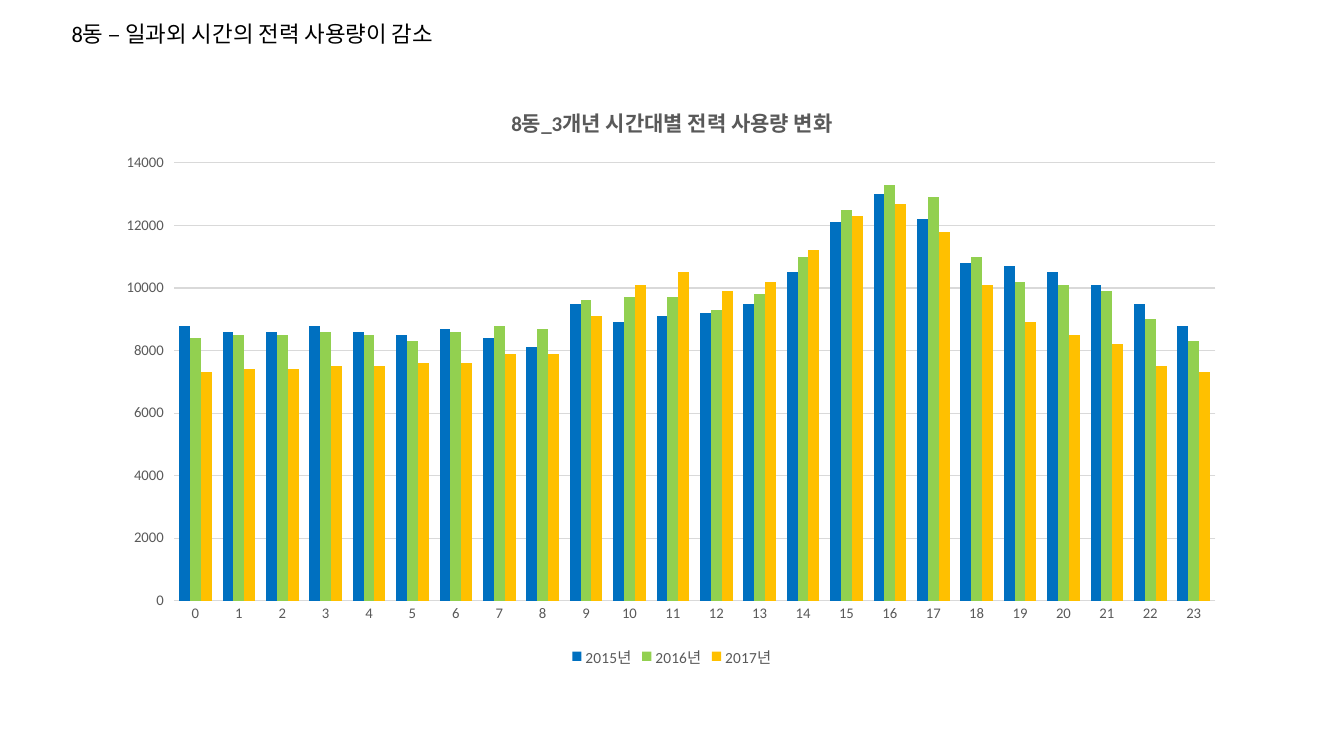
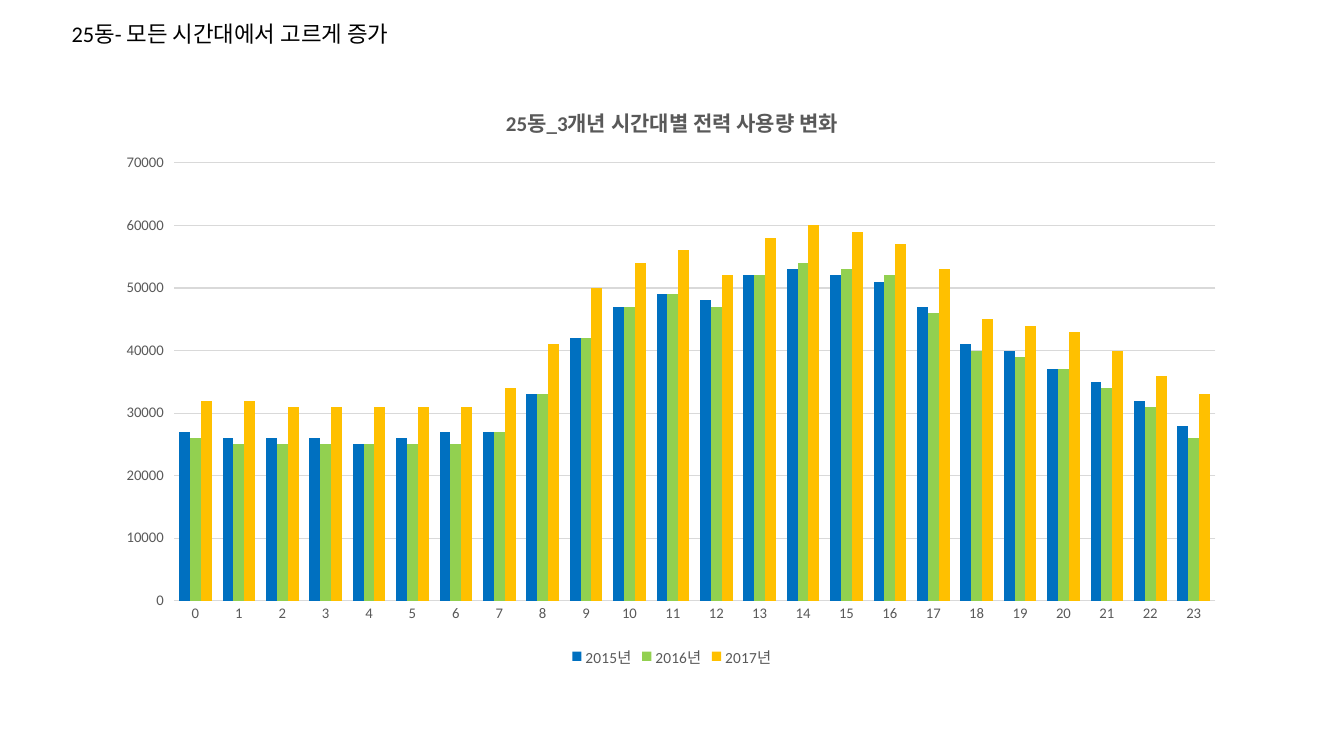
from lxml.etree import SubElement
from pptx import Presentation
from pptx.chart.data import CategoryChartData
from pptx.dml.color import RGBColor
from pptx.enum.chart import XL_CHART_TYPE, XL_LEGEND_POSITION, XL_TICK_MARK
from pptx.enum.text import MSO_ANCHOR, MSO_AUTO_SIZE, PP_ALIGN
from pptx.oxml.ns import qn
from pptx.util import Inches, Pt

FONT = "Calibri"
COLORS = {
    "title": "000000",
    "label": "595959",
    "grid": "D9D9D9",
    "2015년": "0070C0",
    "2016년": "92D050",
    "2017년": "FFC000",
}
HOURS = [str(hour) for hour in range(24)]
PLOT_LAYOUT = {"x": 0.06, "y": 0.135, "w": 0.92, "h": 0.745}

BUILDINGS = [
    {
        "title": "8동 – 일과외 시간의 전력 사용량이 감소",
        "title_width": 4.1,
        "chart_title": "8동_3개년 시간대별 전력 사용량 변화",
        "maximum": 14000,
        "unit": 2000,
        "scale": 100,
        "usage": {
            "2015년": [88, 86, 86, 88, 86, 85, 87, 84, 81, 95, 89, 91,
                      92, 95, 105, 121, 130, 122, 108, 107, 105, 101, 95, 88],
            "2016년": [84, 85, 85, 86, 85, 83, 86, 88, 87, 96, 97, 97,
                      93, 98, 110, 125, 133, 129, 110, 102, 101, 99, 90, 83],
            "2017년": [73, 74, 74, 75, 75, 76, 76, 79, 79, 91, 101, 105,
                      99, 102, 112, 123, 127, 118, 101, 89, 85, 82, 75, 73],
        },
    },
    {
        "title": "25동- 모든 시간대에서 고르게 증가",
        "title_width": 3.62,
        "chart_title": "25동_3개년 시간대별 전력 사용량 변화",
        "maximum": 70000,
        "unit": 10000,
        "scale": 1000,
        "usage": {
            "2015년": [27, 26, 26, 26, 25, 26, 27, 27, 33, 42, 47, 49,
                      48, 52, 53, 52, 51, 47, 41, 40, 37, 35, 32, 28],
            "2016년": [26, 25, 25, 25, 25, 25, 25, 27, 33, 42, 47, 49,
                      47, 52, 54, 53, 52, 46, 40, 39, 37, 34, 31, 26],
            "2017년": [32, 32, 31, 31, 31, 31, 31, 34, 41, 50, 54, 56,
                      52, 58, 60, 59, 57, 53, 45, 44, 43, 40, 36, 33],
        },
    },
]


def color(name):
    return RGBColor.from_string(COLORS[name])


def style_font(font, size, color_name, bold=False):
    font.name = FONT
    font.size = Pt(size)
    font.bold = bold
    font.color.rgb = color(color_name)


def style_line(line):
    line.color.rgb = color("grid")
    line.width = Pt(0.75)


def fill_title(shape, text, width):
    shape.left, shape.top = Inches(0.61), Inches(0.15)
    shape.width, shape.height = Inches(width), Inches(0.37)
    frame = shape.text_frame
    frame.word_wrap = False
    frame.auto_size = MSO_AUTO_SIZE.SHAPE_TO_FIT_TEXT
    frame.vertical_anchor = MSO_ANCHOR.TOP
    paragraph = frame.paragraphs[0]
    paragraph.alignment = PP_ALIGN.LEFT
    run = paragraph.add_run()
    run.text = text
    style_font(run.font, 16, "title")


def place_plot(chart):
    plot_area = chart._chartSpace.find(".//" + qn("c:plotArea"))
    for old_layout in plot_area.findall(qn("c:layout")):
        plot_area.remove(old_layout)
    layout = plot_area.makeelement(qn("c:layout"))
    plot_area.insert(0, layout)
    manual = SubElement(layout, qn("c:manualLayout"))
    settings = {"layoutTarget": "inner", "xMode": "edge", "yMode": "edge", **PLOT_LAYOUT}
    for tag, value in settings.items():
        SubElement(manual, qn(f"c:{tag}")).set("val", str(value))


def add_usage_chart(slide, building):
    data = CategoryChartData(number_format="General")
    data.categories = HOURS
    for year, values in building["usage"].items():
        data.add_series(year, [value * building["scale"] for value in values])
    chart = slide.shapes.add_chart(
        XL_CHART_TYPE.COLUMN_CLUSTERED,
        Inches(1.05), Inches(0.83), Inches(11.23), Inches(5.83), data,
    ).chart
    style_font(chart.font, 10, "title")
    place_plot(chart)

    chart.has_title = True
    run = chart.chart_title.text_frame.paragraphs[0].add_run()
    run.text = building["chart_title"]
    style_font(run.font, 15, "label", bold=True)
    chart.chart_title.include_in_layout = False

    plot = chart.plots[0]
    plot.gap_width = 100
    plot.overlap = 0
    plot.vary_by_categories = False
    for series in plot.series:
        series.format.fill.solid()
        series.format.fill.fore_color.rgb = color(series.name)

    for axis in (chart.category_axis, chart.value_axis):
        style_font(axis.tick_labels.font, 10.5, "label")
    hours = chart.category_axis
    hours.major_tick_mark = XL_TICK_MARK.NONE
    style_line(hours.format.line)
    amounts = chart.value_axis
    amounts.minimum_scale = 0
    amounts.maximum_scale = building["maximum"]
    amounts.major_unit = building["unit"]
    amounts.format.line.fill.background()
    amounts.has_major_gridlines = True
    style_line(amounts.major_gridlines.format.line)

    chart.has_legend = True
    chart.legend.position = XL_LEGEND_POSITION.BOTTOM
    chart.legend.include_in_layout = False
    style_font(chart.legend.font, 11, "label")


def main():
    presentation = Presentation()
    presentation.slide_width = Inches(13.33)
    presentation.slide_height = Inches(7.5)
    title_only = presentation.slide_layouts[5]
    for building in BUILDINGS:
        slide = presentation.slides.add_slide(title_only)
        add_usage_chart(slide, building)
        fill_title(slide.shapes.title, building["title"], building["title_width"])
    presentation.save("out.pptx")


if __name__ == "__main__":
    main()
